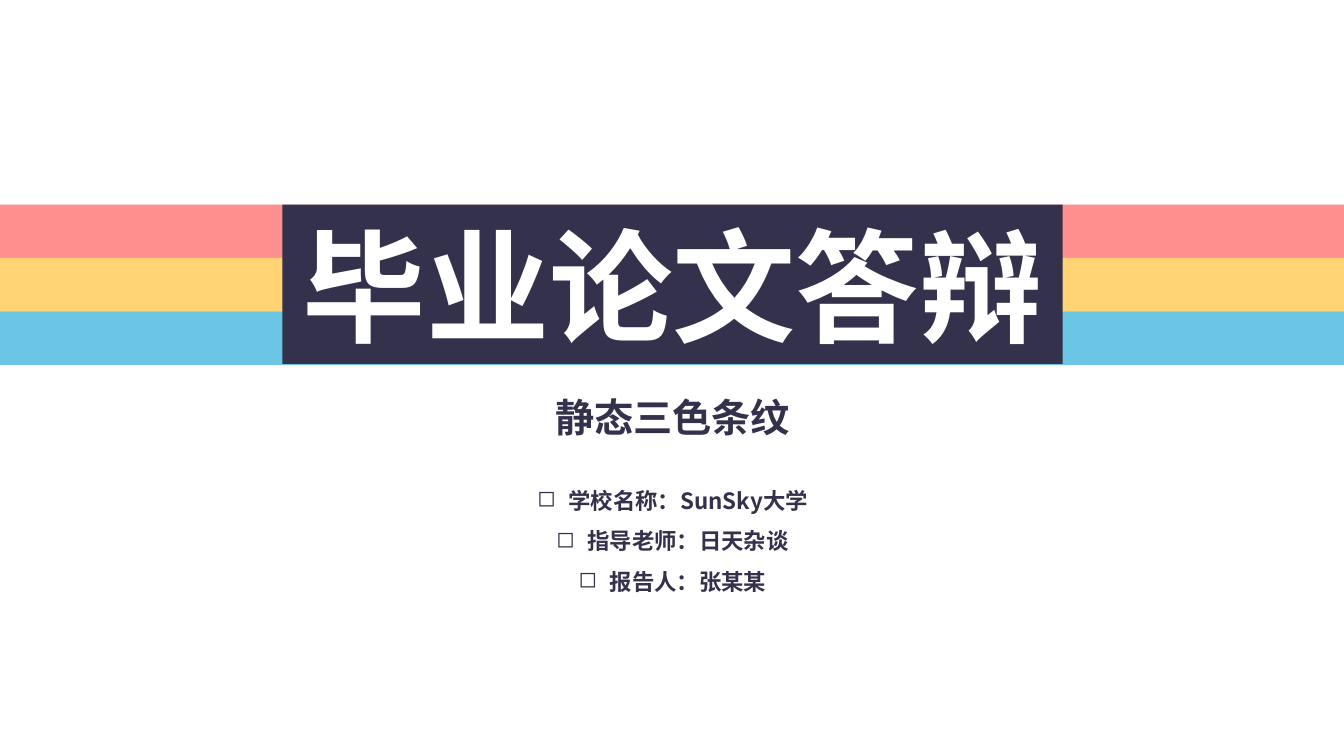
from dataclasses import dataclass

import pptx
import pptx.dml.color
import pptx.enum.shapes
import pptx.enum.text
import pptx.oxml.ns
import pptx.shapes.autoshape
import pptx.util
from lxml import etree
from pptx.util import Inches

FONT = "Noto Sans CJK SC"
COLORS = {"red": "FF7473", "yellow": "FFC952", "blue": "47B8E0",
          "navy": "34314C", "white": "FFFFFF"}
PAGE_WIDTH, PAGE_HEIGHT = 13.33, 7.5
STRIPE_TOP, STRIPE_HEIGHT = 2.03, 0.53
BULLET_INDENT = Inches(0.31)
qn = pptx.oxml.ns.qn


@dataclass
class Frame:
    left: float
    top: float
    width: float
    height: float

    def lengths(self) -> list[int]:
        return [Inches(v) for v in (self.left, self.top, self.width, self.height)]


@dataclass
class Words:
    lines: list[str]
    size: int
    color: str
    bullet: str = ""
    spacing: float = 1.0
    wrap: bool = False


def rgb(name: str) -> pptx.dml.color.RGBColor:
    return pptx.dml.color.RGBColor.from_string(COLORS[name])


def add_band(page, frame: Frame, color: str, opacity: int = 100) -> pptx.shapes.autoshape.Shape:
    """Add a borderless rectangle; opacity is in percent."""
    band = page.shapes.add_shape(pptx.enum.shapes.MSO_SHAPE.RECTANGLE, *frame.lengths())
    band.shadow.inherit = False
    band.line.fill.background()
    band.fill.solid()
    band.fill.fore_color.rgb = rgb(color)
    if opacity < 100:
        tint = band.fill._xPr.find(".//" + qn("a:srgbClr"))
        etree.SubElement(tint, qn("a:alpha"), val=str(opacity * 1000))
    return band


def write(box: pptx.shapes.autoshape.Shape, words: Words) -> None:
    frame = box.text_frame
    frame.word_wrap = words.wrap
    frame.text = "\n".join(words.lines)
    for para in frame.paragraphs:
        para.alignment = pptx.enum.text.PP_ALIGN.CENTER
        para.line_spacing = words.spacing
        properties = para._p.get_or_add_pPr()
        if words.bullet:
            properties.set("marL", str(BULLET_INDENT))
            properties.set("indent", str(-BULLET_INDENT))
            etree.SubElement(properties, qn("a:buChar"), char=words.bullet)
        para.font.size = pptx.util.Pt(words.size)
        para.font.bold = True
        para.font.color.rgb = rgb(words.color)
        para.font.name = FONT
        etree.SubElement(properties.find(qn("a:defRPr")), qn("a:ea"), typeface=FONT)


def main() -> None:
    deck = pptx.Presentation()
    deck.slide_width, deck.slide_height = Inches(PAGE_WIDTH), Inches(PAGE_HEIGHT)
    page = deck.slides.add_slide(deck.slide_layouts[6])

    for row, color in enumerate(("red", "yellow", "blue")):
        top = STRIPE_TOP + row * STRIPE_HEIGHT
        add_band(page, Frame(0, top, PAGE_WIDTH, STRIPE_HEIGHT), color, opacity=80)

    title = add_band(page, Frame(2.8, STRIPE_TOP, 7.74, 1.58), "navy")
    write(title, Words(["毕业论文答辩"], 88, "white"))

    subtitle = page.shapes.add_textbox(*Frame(5.39, 3.85, 2.56, 0.57).lengths())
    write(subtitle, Words(["静态三色条纹"], 28, "navy"))

    details = page.shapes.add_textbox(*Frame(3.8, 4.65, 5.74, 1.31).lengths())
    write(details, Words(["学校名称：SunSky大学", "指导老师：日天杂谈", "报告人：张某某"],
                         16, "navy", bullet="◻", spacing=1.5, wrap=True))

    deck.save("out.pptx")


if __name__ == "__main__":
    main()
